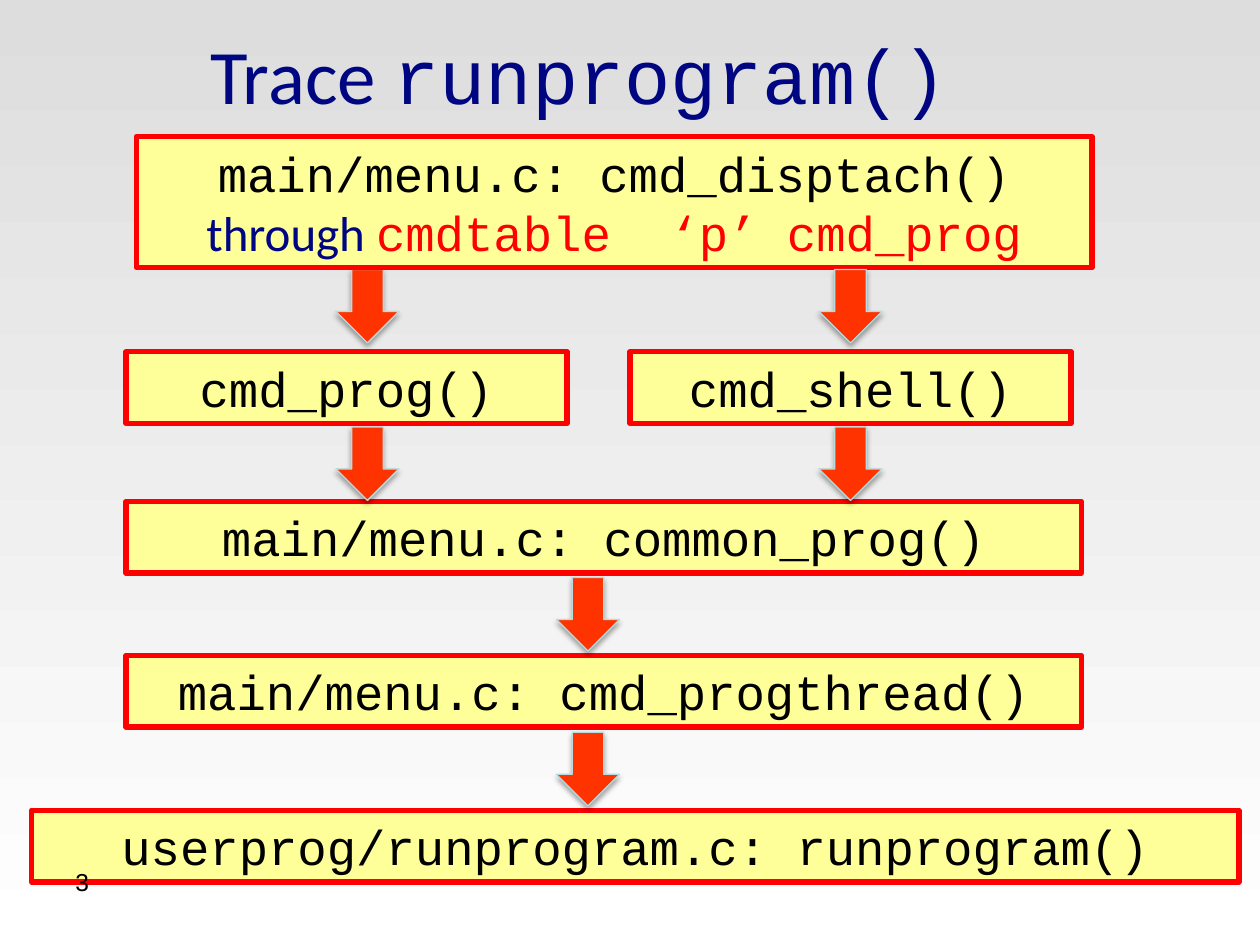
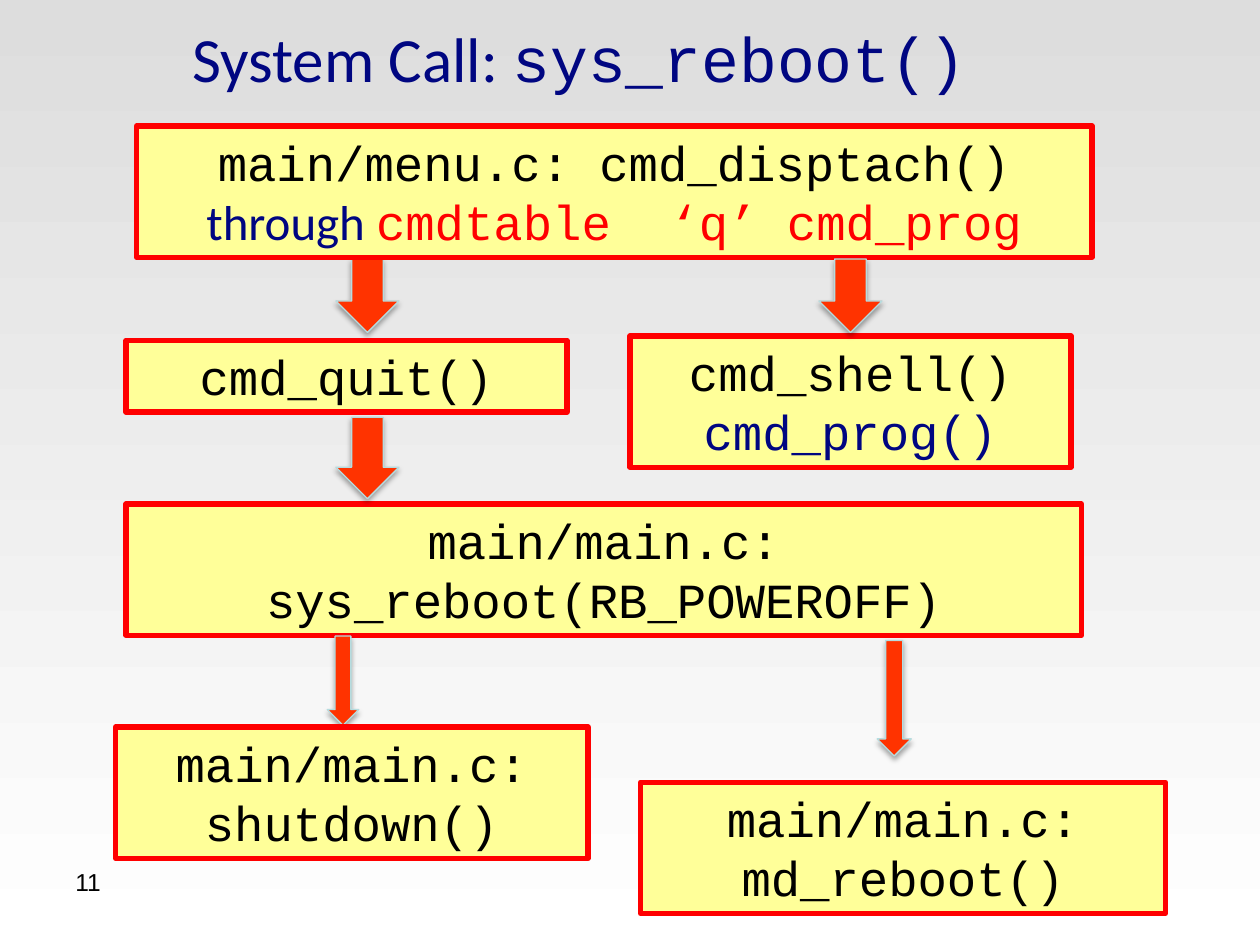
from dataclasses import dataclass

from lxml import etree
from pptx import Presentation
from pptx.dml.color import RGBColor
from pptx.enum.shapes import MSO_SHAPE
from pptx.enum.text import MSO_ANCHOR, MSO_AUTO_SIZE, PP_ALIGN
from pptx.oxml.ns import qn
from pptx.slide import Slide
from pptx.text.text import TextFrame
from pptx.util import Pt

RECTANGLE, DOWN_ARROW = MSO_SHAPE.RECTANGLE, MSO_SHAPE.DOWN_ARROW
CENTER, MIDDLE = PP_ALIGN.CENTER, MSO_ANCHOR.MIDDLE
NO_FIT, GROW = MSO_AUTO_SIZE.NONE, MSO_AUTO_SIZE.SHAPE_TO_FIT_TEXT

COLORS = {
    "navy": "000681", "black": "000000", "red": "FF0000", "box": "FFFF99",
    "arrow": "FF3300", "arrow_edge": "B6DCDF", "sky": "DDDDDD", "ground": "FFFFFF",
}
SANS, CODE, NUMBER_FONT = "Calibri", "Courier New", "Arial"
CODE_SIZE = 28
ONE_LINE, TWO_LINES = 41, 75  # box heights
LEFT_FLOW, MID_FLOW, RIGHT_FLOW = 210, 336, 486  # arrow centres
WIDE, HALF = 546, 252  # box widths


@dataclass(frozen=True)
class Span:
    text: str
    color: str = "black"
    font: str = CODE


@dataclass(frozen=True)
class Step:
    left: float
    top: float
    width: float
    height: float
    lines: list[list[Span]]


@dataclass(frozen=True)
class Flow:
    center: float
    top: float
    width: float = 36
    height: float = 42


def rgb(name: str) -> RGBColor:
    return RGBColor.from_string(COLORS[name])


def write_lines(frame: TextFrame, lines: list[list[Span]], size: float) -> None:
    frame.word_wrap = True
    frame.vertical_anchor = MIDDLE
    for index, spans in enumerate(lines):
        paragraph = frame.paragraphs[0] if index == 0 else frame.add_paragraph()
        paragraph.alignment = CENTER
        paragraph.font.size = Pt(size)
        for span in spans:
            run = paragraph.add_run()
            run.text = span.text
            run.font.name = span.font
            run.font.color.rgb = rgb(span.color)


def draw_step(slide: Slide, step: Step) -> None:
    box = slide.shapes.add_shape(
        RECTANGLE, Pt(step.left), Pt(step.top), Pt(step.width), Pt(step.height))
    box.shadow.inherit = False
    box.fill.solid()
    box.fill.fore_color.rgb = rgb("box")
    box.line.color.rgb = rgb("red")
    box.line.width = Pt(3)
    write_lines(box.text_frame, step.lines, CODE_SIZE)
    box.text_frame.auto_size = GROW


def draw_flow(slide: Slide, flow: Flow) -> None:
    arrow = slide.shapes.add_shape(
        DOWN_ARROW, Pt(flow.center - flow.width / 2), Pt(flow.top),
        Pt(flow.width), Pt(flow.height))
    arrow.fill.solid()
    arrow.fill.fore_color.rgb = rgb("arrow")
    arrow.line.color.rgb = rgb("arrow_edge")
    arrow.line.width = Pt(0.75)
    # Soft shadow straight below
    arrow.shadow.inherit = False
    effects = arrow._element.spPr.find(qn("a:effectLst"))
    shadow = etree.SubElement(
        effects, qn("a:outerShdw"), blurRad=str(Pt(3.1)), dist=str(Pt(1.8)),
        dir="5400000", rotWithShape="0")
    tint = etree.SubElement(shadow, qn("a:srgbClr"), val=COLORS["black"])
    etree.SubElement(tint, qn("a:alpha"), val="35000")


def dispatch_stage(top: float, key: str) -> list[Step | Flow]:
    """The menu dispatcher with its two outgoing arrows."""
    flow_top = top + TWO_LINES + 1
    lines = [
        [Span("main/menu.c: cmd_disptach()")],
        [Span("through ", "navy", SANS), Span(f"cmdtable  ‘{key}’ cmd_prog", "red")],
    ]
    return [Flow(LEFT_FLOW, flow_top), Step(78, top, WIDE, TWO_LINES, lines),
            Flow(RIGHT_FLOW, flow_top)]


def one_step(left: float, top: float, width: float, text: str,
             height: float = ONE_LINE) -> Step:
    return Step(left, top, width, height, [[Span(text)]])


def add_trace(prs: Presentation, words: str, call: str, title_size: float,
              title_height: float, number: str, parts: list[Step | Flow]) -> None:
    slide = prs.slides.add_slide(prs.slide_layouts.get_by_name("Title Only"))

    # Title
    title = slide.shapes.title
    title.left, title.top = Pt(37.5), Pt(12)
    title.width, title.height = Pt(587), Pt(title_height)
    write_lines(title.text_frame,
                [[Span(words, "navy", SANS), Span(call, "navy")]], title_size)
    title.text_frame.auto_size = NO_FIT

    # Call chain, back to front
    for part in parts:
        if isinstance(part, Step):
            draw_step(slide, part)
        else:
            draw_flow(slide, part)

    # Page number
    page = slide.shapes.add_textbox(Pt(36), Pt(492), Pt(168), Pt(37.5)).text_frame
    page.word_wrap = True
    page.text = number
    font = page.paragraphs[0].font
    font.name, font.size = NUMBER_FONT, Pt(14)
    font.color.rgb = rgb("black")


def main() -> None:
    prs = Presentation()
    prs.slide_width, prs.slide_height = Pt(720), Pt(540)

    # Shared background
    backdrop = prs.slide_master.background.fill
    backdrop.gradient()
    backdrop.gradient_angle = 270
    for stop, name, position in zip(backdrop.gradient_stops, ("sky", "ground"), (0, 1)):
        stop.color.rgb = rgb(name)
        stop.position = position

    # Running a program
    add_trace(prs, "Trace ", "runprogram()", 44, 60, "3", [
        one_step(18, 463, 690, "userprog/runprogram.c: runprogram()"),
        Flow(MID_FLOW, 418.5),
        one_step(72, 374.5, WIDE, "main/menu.c: cmd_progthread()"),
        Flow(MID_FLOW, 330),
        one_step(72, 286.5, WIDE, "main/menu.c: common_prog()"),
        Flow(LEFT_FLOW, 244),
        one_step(72, 201, HALF, "cmd_prog()"),
        Flow(RIGHT_FLOW, 244),
        one_step(360, 201, HALF, "cmd_shell()"),
        *dispatch_stage(78, "p"),
    ])

    # Rebooting
    add_trace(prs, "System Call: ", "sys_reboot()", 36, 42, "11", [
        one_step(72, 288, WIDE, "main/main.c: sys_reboot(RB_POWEROFF)", TWO_LINES),
        Flow(LEFT_FLOW, 238.5, height=46.5),
        one_step(72, 194.5, HALF, "cmd_quit()"),
        Step(360, 192, HALF, TWO_LINES,
             [[Span("cmd_shell()")], [Span("cmd_prog()", "navy")]]),
        *dispatch_stage(72, "q"),
        Flow(196, 363.5, 18, 51),
        one_step(66, 415.5, 270, "main/main.c: shutdown()", TWO_LINES),
        Flow(511, 366, 19.5, 66),
        one_step(366, 447, 300, "main/main.c: md_reboot()", TWO_LINES),
    ])
    prs.save("out.pptx")


if __name__ == "__main__":
    main()
